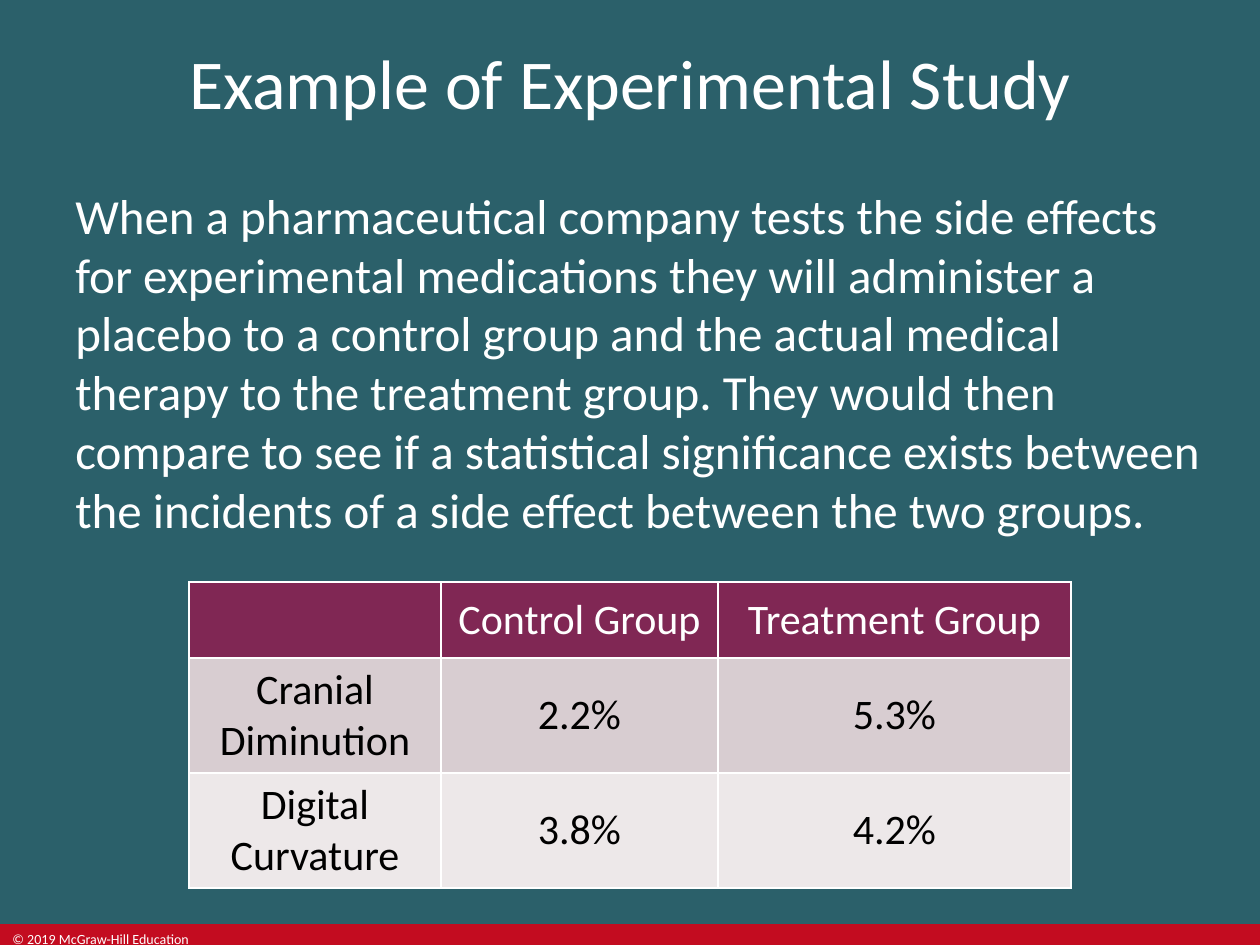
from dataclasses import dataclass

from lxml.etree import SubElement
from pptx import Presentation
from pptx.dml.color import RGBColor
from pptx.enum.shapes import MSO_SHAPE
from pptx.enum.text import MSO_ANCHOR, PP_ALIGN
from pptx.oxml.ns import qn
from pptx.util import Emu, Pt

PX_PER_INCH = 126
WHITE = RGBColor(0xFF, 0xFF, 0xFF)
BLACK = RGBColor(0x00, 0x00, 0x00)
TEAL = RGBColor(0x2B, 0x60, 0x6A)
RED = RGBColor(0xC3, 0x0C, 0x20)
PLUM = RGBColor(0x80, 0x27, 0x54)
BAND_DARK = RGBColor(0xD8, 0xCD, 0xD1)
BAND_LIGHT = RGBColor(0xED, 0xE8, 0xE9)


@dataclass
class TextBlock:
    box: tuple[int, int, int, int]
    text: str
    size: int
    align: PP_ALIGN = PP_ALIGN.LEFT
    anchor: MSO_ANCHOR = MSO_ANCHOR.TOP


@dataclass
class TableRow:
    height: int
    fill: RGBColor
    color: RGBColor
    texts: tuple[str, ...]


BLOCKS = [
    TextBlock((0, 924, 214, 21), "© 2019 McGraw-Hill Education", 8),
    TextBlock((0, 0, 1260, 164), "Example of Experimental Study", 40,
              PP_ALIGN.CENTER, MSO_ANCHOR.MIDDLE),
    TextBlock((63, 179, 1159, 725),
              "When a pharmaceutical company tests the side effects for "
              "experimental medications they will administer a placebo to a "
              "control group and the actual medical therapy to the treatment "
              "group. They would then compare to see if a statistical "
              "significance exists between the incidents of a side effect "
              "between the two groups.", 28),
]
COLUMN_WIDTHS = [252, 277, 353]
ROWS = [
    TableRow(76, PLUM, WHITE, ("", "Control Group", "Treatment Group")),
    TableRow(115, BAND_DARK, BLACK, ("Cranial Diminution", "2.2%", "5.3%")),
    TableRow(115, BAND_LIGHT, BLACK, ("Digital Curvature", "3.8%", "4.2%")),
]


def px(n: int) -> Emu:
    return Emu(round(n * 914400 / PX_PER_INCH))


def write(p, text: str, size: int, color: RGBColor, align: PP_ALIGN) -> None:
    p.alignment = align
    r = p.add_run()
    r.text = text
    formats = {"name": "Calibri", "size": Pt(size), "bold": False}
    for name, value in formats.items():
        setattr(r.font, name, value)
    r.font.color.rgb = color


def add_text(s, block: TextBlock) -> None:
    tf = s.shapes.add_textbox(*map(px, block.box)).text_frame
    tf.word_wrap = True
    tf.vertical_anchor = block.anchor
    write(tf.paragraphs[0], block.text, block.size, WHITE, block.align)


def add_borders(cell) -> None:
    tc_pr = cell._tc.get_or_add_tcPr()
    for i, side in enumerate(("lnL", "lnR", "lnT", "lnB")):
        ln = SubElement(tc_pr, qn(f"a:{side}"), w=str(Pt(1)))
        tc_pr.insert(i, ln)
        fill = SubElement(ln, qn("a:solidFill"))
        SubElement(fill, qn("a:srgbClr"), val=str(WHITE))


def add_results_table(s, left: int, top: int) -> None:
    width, height = sum(COLUMN_WIDTHS), sum(row.height for row in ROWS)
    table = s.shapes.add_table(len(ROWS), len(COLUMN_WIDTHS),
                               *map(px, (left, top, width, height))).table
    for column, column_width in zip(table.columns, COLUMN_WIDTHS):
        column.width = px(column_width)
    for i, row in enumerate(ROWS):
        table.rows[i].height = px(row.height)
        for cell, text in zip(table.rows[i].cells, row.texts):
            cell.fill.solid()
            cell.fill.fore_color.rgb = row.fill
            cell.vertical_anchor = MSO_ANCHOR.MIDDLE
            add_borders(cell)
            if text:
                write(cell.text_frame.paragraphs[0], text, 24, row.color,
                      PP_ALIGN.CENTER)


def main() -> None:
    prs = Presentation()
    prs.slide_width, prs.slide_height = px(1260), px(945)
    s = prs.slides.add_slide(prs.slide_layouts[6])
    s.background.fill.solid()
    s.background.fill.fore_color.rgb = TEAL

    # Footer bar
    sp = s.shapes.add_shape(MSO_SHAPE.RECTANGLE, *map(px, (0, 924, 1260, 21)))
    sp.shadow.inherit = False
    sp.fill.solid()
    sp.fill.fore_color.rgb = RED
    sp.line.fill.background()

    # Copyright line, title and body
    for block in BLOCKS:
        add_text(s, block)

    # Side effects by group
    add_results_table(s, 189, 582)
    prs.save("out.pptx")


if __name__ == "__main__":
    main()
